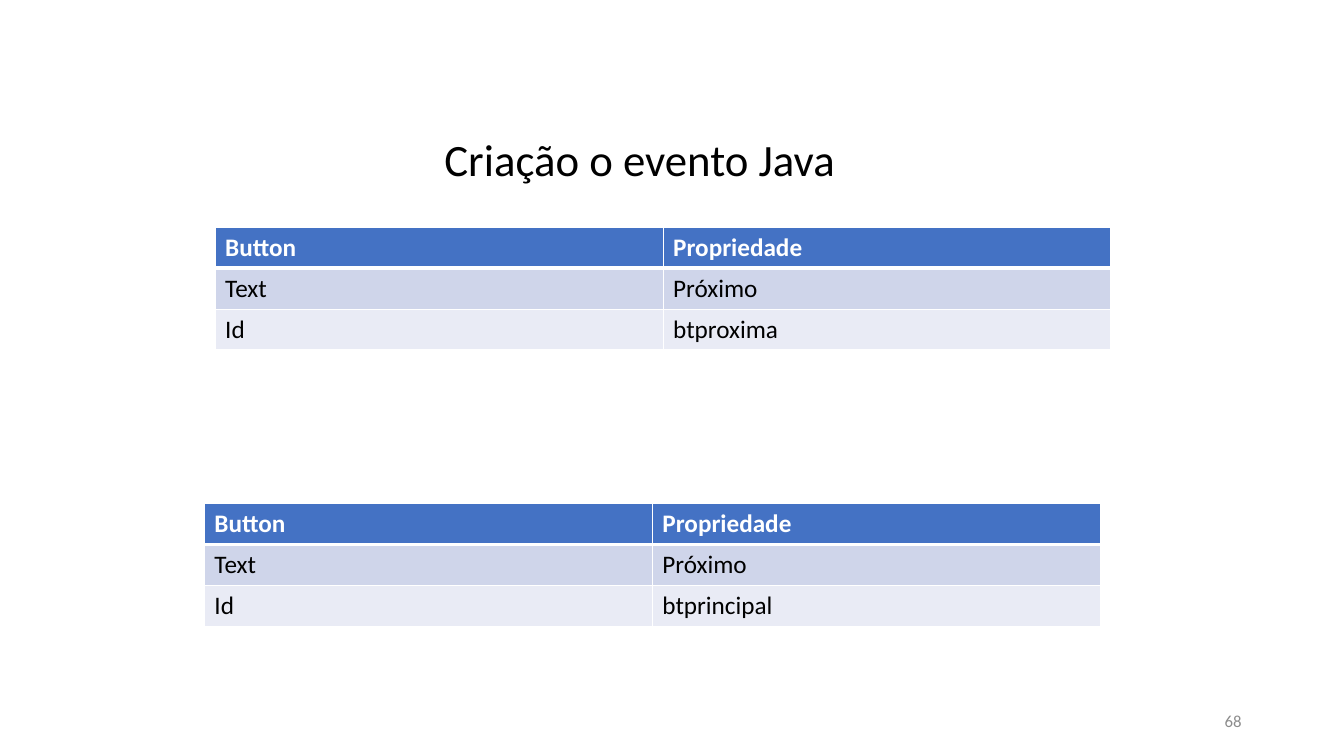
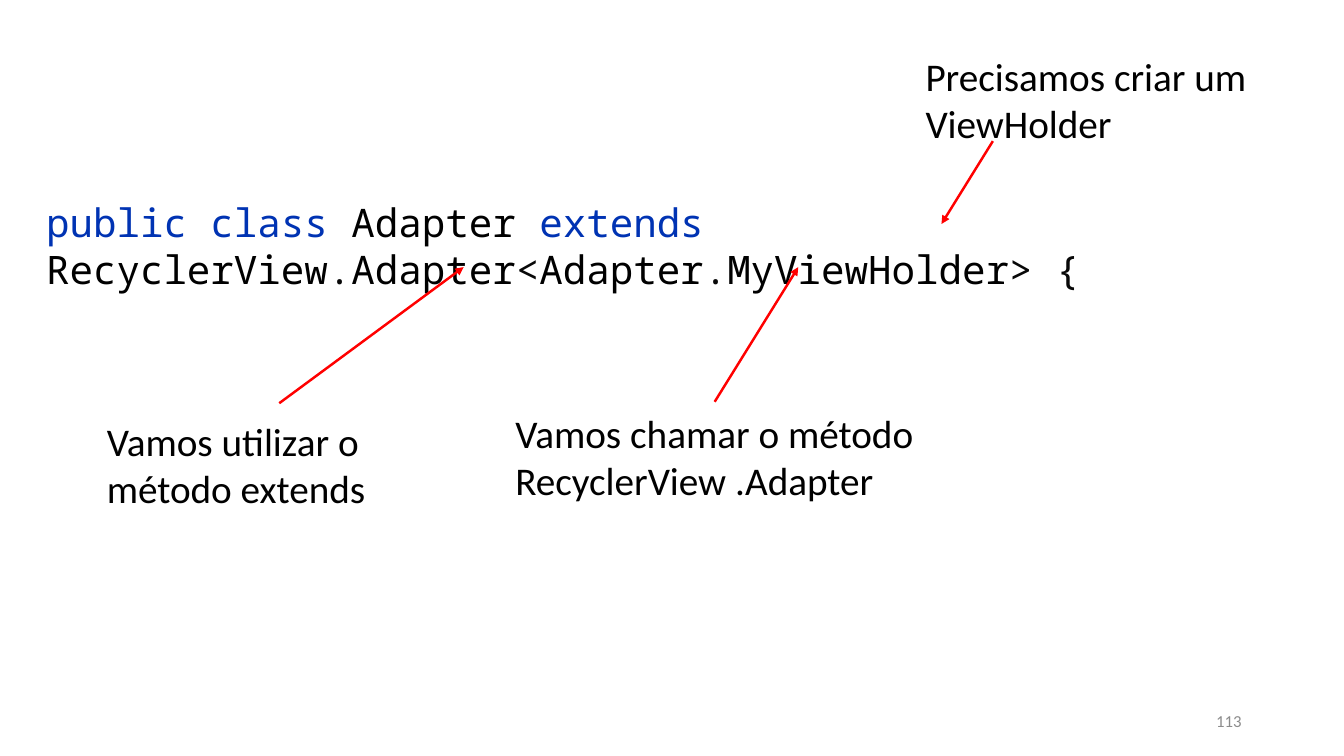
from lxml import etree
from pptx import Presentation
from pptx.dml.color import RGBColor
from pptx.enum import shapes as sh, text as tx
from pptx.oxml import ns
from pptx.util import Pt

WHITE = RGBColor(0xFF, 0xFF, 0xFF)
BLACK = RGBColor(0x00, 0x00, 0x00)
GREY = RGBColor(0x8C, 0x8C, 0x8C)
RED = RGBColor(0xFF, 0x00, 0x00)
HEADER_BLUE = RGBColor(0x44, 0x72, 0xC4)
BAND_DARK = RGBColor(0xCF, 0xD5, 0xEA)
BAND_LIGHT = RGBColor(0xE9, 0xEB, 0xF5)
KEYWORD = RGBColor(0x00, 0x33, 0xB3)
PUNCTUATION = RGBColor(0x08, 0x08, 0x08)

TITLE_ONLY, BLANK = 5, 6


class Deck:
    """Shared style plus the slide being built; all lengths in points."""
    body_font = "Calibri"
    code_font = "Noto Sans Mono"

    def __init__(self):
        self.prs = Presentation()
        self.prs.slide_width, self.prs.slide_height = Pt(960), Pt(540)
        self.slide = None

    def start(self, number, layout):
        self.slide = self.prs.slides.add_slide(self.prs.slide_layouts[layout])
        footer = self.text(number, 678, 500.4, 216, 28.8, 12, GREY)
        footer.vertical_anchor = tx.MSO_ANCHOR.MIDDLE
        footer.paragraphs[0].alignment = tx.PP_ALIGN.RIGHT

    def style(self, font, size, color, bold=False, name=None):
        font.name, font.size = name or self.body_font, Pt(size)
        font.color.rgb, font.bold = color, bold

    def title(self, wording, left, top, width, height):
        title = self.slide.shapes.title
        title.left, title.top = Pt(left), Pt(top)
        title.width, title.height = Pt(width), Pt(height)
        title.text_frame.text = wording
        title.text_frame.vertical_anchor = tx.MSO_ANCHOR.TOP
        paragraph = title.text_frame.paragraphs[0]
        paragraph.alignment = tx.PP_ALIGN.CENTER
        self.style(paragraph.runs[0].font, 32, BLACK)

    def text(self, wording, left, top, width, height, size=28, color=BLACK):
        box = self.slide.shapes.add_textbox(Pt(left), Pt(top), Pt(width), Pt(height))
        frame = box.text_frame
        frame.word_wrap = True
        frame.text = wording
        for paragraph in frame.paragraphs:
            for run in paragraph.runs:
                self.style(run.font, size, color)
        return frame

    def code(self, tokens, left, top, width, height):
        panel = self.slide.shapes.add_shape(
            sh.MSO_SHAPE.RECTANGLE, Pt(left), Pt(top), Pt(width), Pt(height))
        panel.shadow.inherit = False
        panel.fill.solid()
        panel.fill.fore_color.rgb = WHITE
        panel.line.fill.background()
        frame = panel.text_frame
        frame.word_wrap = True
        frame.vertical_anchor = tx.MSO_ANCHOR.MIDDLE
        paragraph = frame.paragraphs[0]
        paragraph.alignment = tx.PP_ALIGN.LEFT
        for wording, color in tokens:
            run = paragraph.add_run()
            run.text = wording
            self.style(run.font, 28, color, name=self.code_font)

    def arrow(self, x1, y1, x2, y2):
        arrow = self.slide.shapes.add_connector(
            sh.MSO_CONNECTOR.STRAIGHT, Pt(x1), Pt(y1), Pt(x2), Pt(y2))
        arrow.line.color.rgb = RED
        arrow.line.width = Pt(1.75)
        etree.SubElement(arrow.line._get_or_add_ln(), ns.qn("a:tailEnd"), type="triangle")
        etree.SubElement(arrow._element.spPr, ns.qn("a:effectLst"))

    def borders(self, cell, top, bottom):
        props = cell._tc.get_or_add_tcPr()
        for side, width in (("L", 1), ("R", 1), ("T", top), ("B", bottom)):
            line = etree.SubElement(props, ns.qn(f"a:ln{side}"), w=str(Pt(width)))
            fill = etree.SubElement(line, ns.qn("a:solidFill"))
            etree.SubElement(fill, ns.qn("a:srgbClr"), val=str(WHITE))

    def table(self, rows, left, top, width=640, row_height=29.2):
        frame = self.slide.shapes.add_table(
            len(rows), len(rows[0]), Pt(left), Pt(top), Pt(width), Pt(row_height * len(rows)))
        for r, row in enumerate(rows):
            header = r == 0
            band = HEADER_BLUE if header else (BAND_LIGHT, BAND_DARK)[r % 2]
            for c, wording in enumerate(row):
                cell = frame.table.cell(r, c)
                # A thick rule separates the header from the body
                self.borders(cell, 3 if r == 1 else 1, 3 if header else 1)
                cell.fill.solid()
                cell.fill.fore_color.rgb = band
                cell.text_frame.text = wording
                self.style(cell.text_frame.paragraphs[0].runs[0].font, 18,
                           WHITE if header else BLACK, header)


def button_rows(button_id):
    return [("Button", "Propriedade"), ("Text", "Próximo"), ("Id", button_id)]


def main():
    deck = Deck()

    # Button properties
    deck.start("68", TITLE_ONLY)
    deck.title("Criação o evento Java", 102.4, 90.4, 709.2, 46.4)
    deck.table(button_rows("btproxima"), 153.7, 162.4)
    deck.table(button_rows("btprincipal"), 146, 359.7)

    # Adapter class declaration
    deck.start("113", BLANK)
    deck.code([
        ("public class ", KEYWORD), ("Adapter ", BLACK), ("extends ", KEYWORD),
        ("RecyclerView", BLACK), (".", PUNCTUATION), ("Adapter", BLACK),
        ("<", PUNCTUATION), ("Adapter", BLACK), (".", PUNCTUATION),
        ("MyViewHolder", BLACK), ("> {", PUNCTUATION),
    ], 25.9, 137.5, 909, 76)

    # Remarks, each with the arrow to the code it explains
    remarks = [
        ("Vamos utilizar o método extends", (69.2, 294.5, 274.3, 76),
         (199.5, 288, 331.2, 190.8)),
        ("Vamos chamar o método\vRecyclerView .Adapter", (361, 288.7, 483, 76),
         (510.5, 287, 570.2, 190.8)),
        ("Precisamos criar um ViewHolder", (654, 33.8, 274.3, 76),
         (709.2, 100.8, 672.5, 160)),
    ]
    for wording, place, pointer in remarks:
        deck.arrow(*pointer)
        deck.text(wording, *place)

    deck.prs.save("out.pptx")


if __name__ == "__main__":
    main()
